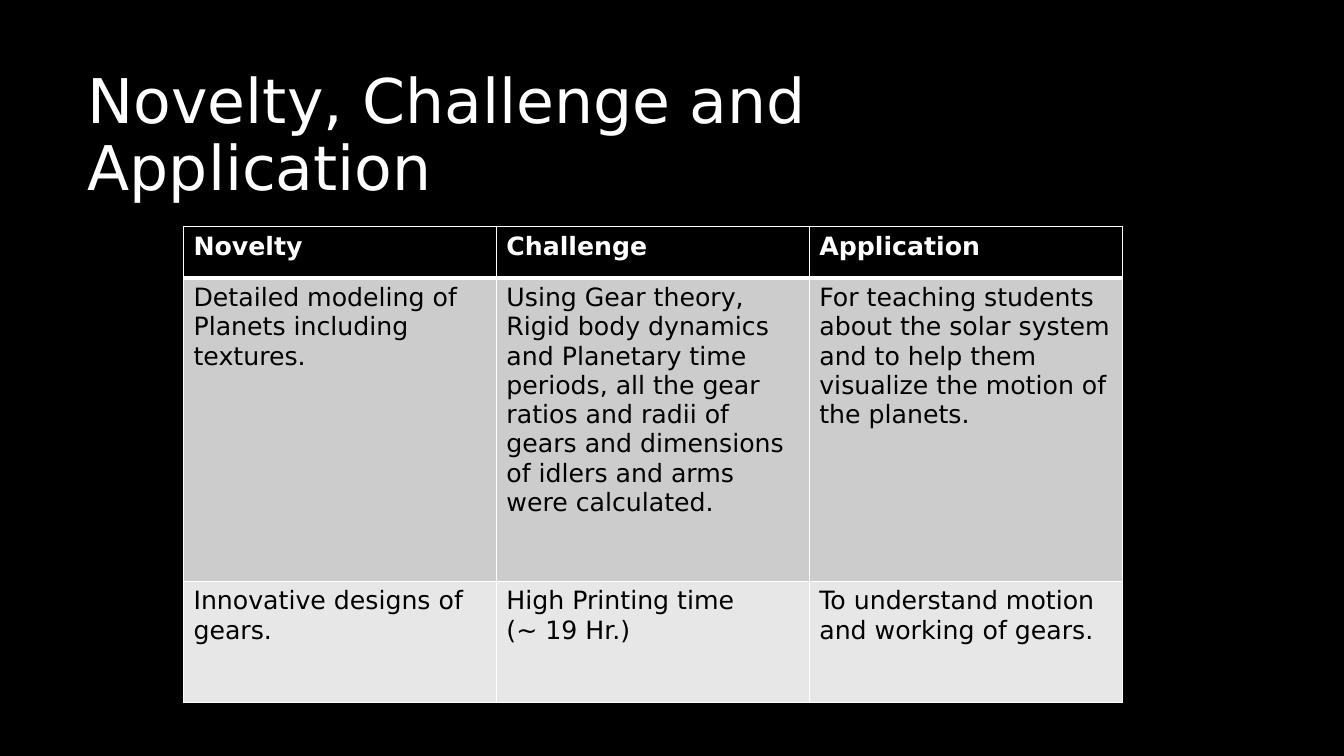
from lxml.etree import SubElement
from pptx import Presentation
from pptx.dml.color import RGBColor
from pptx.enum.text import MSO_ANCHOR, PP_ALIGN
from pptx.oxml.ns import qn
from pptx.util import Inches, Pt


def color(value):
    return RGBColor.from_string(value)


def format_font(font, values, font_color):
    for name, value in values.items():
        setattr(font, name, value)
    font.color.rgb = color(font_color)


FONT = "DejaVu Sans"
ROW_HEIGHTS = [0.51, 3.01, 1.2]
ROW_FILLS = ["000000", "CCCCCC", "E7E7E7"]
CONTENT = [
    ["Novelty", "Challenge", "Application"],
    [
        "Detailed modeling of Planets including textures.",
        "Using Gear theory, Rigid body dynamics and Planetary time periods, "
        "all the gear ratios and radii of gears and dimensions of idlers and "
        "arms were calculated.",
        "For teaching students about the solar system and to help them "
        "visualize the motion of the planets.",
    ],
    [
        "Innovative designs of gears.",
        "High Printing time\n(~ 19 Hr.)",
        "To understand motion and working of gears.",
    ],
]

presentation = Presentation()
presentation.slide_width = Inches(13.33)
presentation.slide_height = Inches(7.5)
slide = presentation.slides.add_slide(presentation.slide_layouts[5])
slide.background.fill.solid()
slide.background.fill.fore_color.rgb = color("000000")

title = slide.shapes.title
title.left, title.top = Inches(0.77), Inches(0.67)
title.width, title.height = Inches(10), Inches(1.38)
title.text_frame.text = "Novelty, Challenge and Application"
title.text_frame.vertical_anchor = MSO_ANCHOR.MIDDLE
heading = title.text_frame.paragraphs[0]
heading.alignment = PP_ALIGN.LEFT
heading.line_spacing = 0.9
format_font(heading.font, {"name": FONT, "size": Pt(44)}, "FFFFFF")

table = slide.shapes.add_table(
    3, 3, Inches(1.82), Inches(2.25), Inches(9.31), Inches(sum(ROW_HEIGHTS))
).table

for row_index, (row, texts) in enumerate(zip(table.rows, CONTENT)):
    row.height = Inches(ROW_HEIGHTS[row_index])
    is_header = row_index == 0
    border_widths = {
        "a:lnL": 1,
        "a:lnR": 1,
        "a:lnT": 3 if row_index == 1 else 1,
        "a:lnB": 3 if is_header else 1,
    }
    for cell, text in zip(row.cells, texts):
        cell.text = text
        properties = cell._tc.get_or_add_tcPr()
        for tag, width in border_widths.items():
            border = SubElement(properties, qn(tag), w=str(Pt(width)))
            border_fill = SubElement(border, qn("a:solidFill"))
            SubElement(border_fill, qn("a:srgbClr"), val="FFFFFF")
        cell.fill.solid()
        cell.fill.fore_color.rgb = color(ROW_FILLS[row_index])
        for paragraph in cell.text_frame.paragraphs:
            format_font(
                paragraph.font,
                {"name": FONT, "size": Pt(18), "bold": is_header},
                "FFFFFF" if is_header else "000000",
            )

presentation.save("out.pptx")
